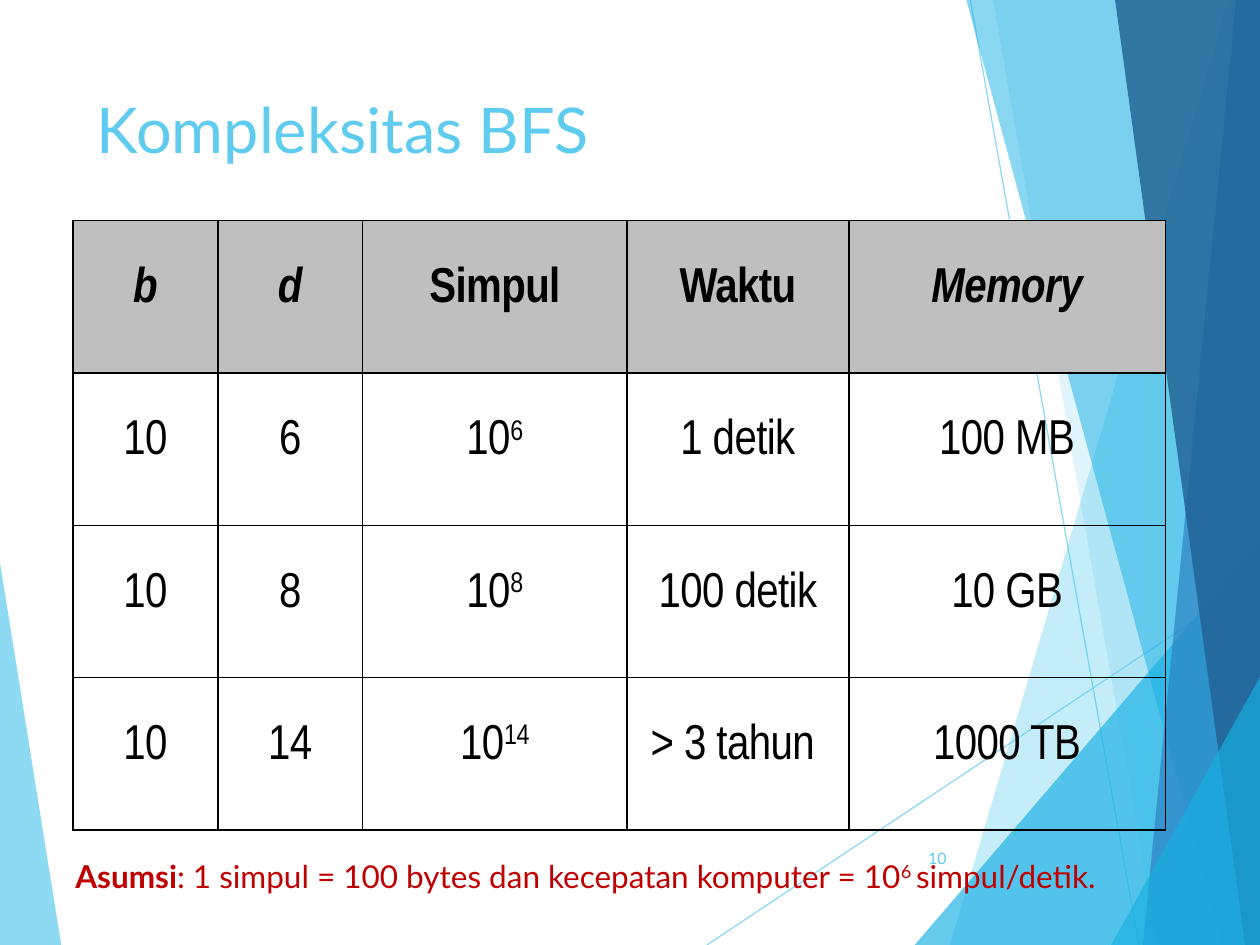
from dataclasses import dataclass

from lxml.etree import SubElement
from pptx import Presentation
from pptx.dml.color import RGBColor
from pptx.enum.shapes import MSO_CONNECTOR
from pptx.enum.text import MSO_ANCHOR, MSO_AUTO_SIZE, PP_ALIGN
from pptx.oxml.ns import qn
from pptx.util import Cm, Pt


@dataclass(frozen=True)
class Theme:
    accent: str = "5FCBEF"
    bright: str = "17B0E4"
    medium: str = "2E83C3"
    dark: str = "226292"
    header: str = "BFBFBF"
    ink: str = "000000"
    warning: str = "C00000"
    font: str = "Lato"
    table_font: str = "Arial Narrow"
    title_size: int = 36
    table_size: int = 28
    note_size: int = 18
    number_size: int = 9


WIDTH, HEIGHT = 25.4, 19.05
RIGHT_EDGE = 25.43

HEADINGS = [("b", True), ("d", True), ("Simpul", False), ("Waktu", False), ("Memory", True)]
# b, d, exponent of the node count, time, memory
ROWS = [
    ("10", "6", "6", "1 detik", "100 MB"),
    ("10", "8", "8", "100 detik", "10 GB"),
    ("10", "14", "14", "> 3 tahun ", "1000 TB"),
]
COLUMN_WIDTHS = [2.92, 2.92, 5.33, 4.47, 6.38]
ROW_HEIGHT = 3.07


def set_solid(fill, color, opacity=100):
    fill.solid()
    fill.fore_color.rgb = RGBColor.from_string(color)
    if opacity < 100:
        for color_element in fill._xPr.iter(qn("a:srgbClr")):
            SubElement(color_element, qn("a:alpha"), val=str(opacity * 1000))


def write(paragraph, text, *, font, size, color, bold=False, italic=False,
          raised=False, spacing=None, align=PP_ALIGN.LEFT):
    """Append one run; spacing is the letter spacing in points."""
    paragraph.alignment = align
    run = paragraph.add_run()
    run.text = text
    run.font.name = font
    run.font.size = Pt(size)
    run.font.bold = bold
    run.font.italic = italic
    run.font.color.rgb = RGBColor.from_string(color)
    properties = run.font._element
    if raised:
        properties.set("baseline", "30000")
    if spacing is not None:
        properties.set("spc", str(round(spacing * 100)))


def add_cell_borders(cell, color, width):
    """Draw all four sides; the line elements must precede the cell's fill."""
    properties = cell._tc.get_or_add_tcPr()
    for index, side in enumerate(("a:lnL", "a:lnR", "a:lnT", "a:lnB")):
        line = SubElement(properties, qn(side), w=str(Pt(width)))
        solid = SubElement(line, qn("a:solidFill"))
        SubElement(solid, qn("a:srgbClr"), val=color)
        properties.insert(index, line)


class SlideBuilder:
    def __init__(self, slide, theme):
        self.slide = slide
        self.theme = theme

    def polygon(self, points, color, opacity):
        start, *others = [(Cm(x), Cm(y)) for x, y in points]
        builder = self.slide.shapes.build_freeform(*start)
        builder.add_line_segments(others, close=True)
        shape = builder.convert_to_shape()
        shape.shadow.inherit = False
        shape.line.fill.background()
        set_solid(shape.fill, color, opacity)

    def band(self, top_x, top_y, bottom_x, color, opacity):
        """Fill from a slanted left side to the right edge of the slide."""
        points = [(top_x, top_y), (bottom_x, HEIGHT), (RIGHT_EDGE, HEIGHT), (RIGHT_EDGE, top_y)]
        self.polygon(points, color, opacity)

    def line(self, start, end):
        ends = [Cm(value) for value in (*start, *end)]
        connector = self.slide.shapes.add_connector(MSO_CONNECTOR.STRAIGHT, *ends)
        connector.line.width = Pt(0.75)
        set_solid(connector.line.fill, self.theme.accent, 70)
        SubElement(connector._element.spPr, qn("a:effectLst"))

    def title(self, text, left, top, width, height):
        title = self.slide.shapes.title
        title.left, title.top, title.width, title.height = map(Cm, (left, top, width, height))
        frame = title.text_frame
        frame.vertical_anchor = MSO_ANCHOR.TOP
        frame.auto_size = MSO_AUTO_SIZE.NONE
        write(frame.paragraphs[0], text, font=self.theme.font,
              size=self.theme.title_size, color=self.theme.accent)

    def text_box(self, left, top, width, height, anchor=MSO_ANCHOR.TOP):
        box = self.slide.shapes.add_textbox(*map(Cm, (left, top, width, height)))
        box.text_frame.word_wrap = True
        box.text_frame.vertical_anchor = anchor
        return box.text_frame

    def cell(self, cell, *runs, fill=None):
        """Format a table cell; each run is a text and its own format."""
        cell.margin_left = cell.margin_right = Cm(0.18)
        cell.margin_top = cell.margin_bottom = 0
        if fill:
            set_solid(cell.fill, fill)
        else:
            cell.fill.background()
        add_cell_borders(cell, self.theme.ink, 1)
        paragraph = cell.text_frame.paragraphs[0]
        paragraph.line_spacing = 2.0
        paragraph.space_before = Pt(3)
        paragraph.space_after = Pt(6)
        for text, run_format in runs:
            write(paragraph, text, font=self.theme.table_font, size=self.theme.table_size,
                  color=self.theme.ink, spacing=-0.3, align=PP_ALIGN.CENTER, **run_format)

    def complexity_table(self, left, top):
        row_count = len(ROWS) + 1
        table = self.slide.shapes.add_table(
            row_count, len(HEADINGS), Cm(left), Cm(top),
            Cm(sum(COLUMN_WIDTHS)), Cm(ROW_HEIGHT * row_count)).table
        table.first_row = table.horz_banding = False
        for column, width in zip(table.columns, COLUMN_WIDTHS):
            column.width = Cm(width)
        for row in table.rows:
            row.height = Cm(ROW_HEIGHT)
        for column, (heading, italic) in enumerate(HEADINGS):
            self.cell(table.cell(0, column), (heading, {"bold": True, "italic": italic}),
                      fill=self.theme.header)
        for row, (branching, depth, exponent, time, memory) in enumerate(ROWS, start=1):
            nodes = [("10", {}), (exponent, {"raised": True})]
            contents = [[(branching, {})], [(depth, {})], nodes, [(time, {})], [(memory, {})]]
            for column, runs in enumerate(contents):
                self.cell(table.cell(row, column), *runs)

    def backdrop(self):
        theme = self.theme
        self.polygon([(-0.03, 11.15), (1.24, 19.08), (-0.03, HEIGHT)], theme.accent, 70)
        self.line((14.25, HEIGHT), (RIGHT_EDGE, 11.61))
        self.line((19.56, 0), (22.96, HEIGHT))
        for band in [
            (24.77, 0, 19.15, theme.accent, 36),
            (20.02, 0, 23.34, theme.accent, 20),
            (RIGHT_EDGE, 10.9, 18.44, theme.bright, 66),
            (19.48, 0, 24.64, theme.bright, 50),
            (24.92, 0, 23.04, theme.medium, 70),
            (22.48, 0, 25.1, theme.dark, 82),
            (RIGHT_EDGE, 13.59, 22.4, theme.bright, 66),
        ]:
            self.band(*band)

    def page_number(self, text):
        frame = self.text_box(17.91, 16.79, 1.42, 1.02, MSO_ANCHOR.MIDDLE)
        write(frame.paragraphs[0], text, font=self.theme.font, size=self.theme.number_size,
              color=self.theme.accent, align=PP_ALIGN.RIGHT)

    def assumption(self):
        frame = self.text_box(1.27, 17.15, 23.06, 1.02)
        frame.auto_size = MSO_AUTO_SIZE.SHAPE_TO_FIT_TEXT
        for text, run_format in [
            ("Asumsi", {"bold": True}),
            (": 1 simpul = 100 bytes dan kecepatan komputer = 10", {}),
            ("6 ", {"raised": True}),
            ("simpul/detik.", {}),
        ]:
            write(frame.paragraphs[0], text, font=self.theme.font, size=self.theme.note_size,
                  color=self.theme.warning, **run_format)


def main():
    presentation = Presentation()
    presentation.slide_width, presentation.slide_height = Cm(WIDTH), Cm(HEIGHT)
    title_only = presentation.slide_layouts[5]
    builder = SlideBuilder(presentation.slides.add_slide(title_only), Theme())
    builder.backdrop()
    builder.complexity_table(1.47, 4.45)
    builder.title("Kompleksitas BFS", 1.7, 1.7, 17.63, 2.11)
    builder.page_number("10")
    builder.assumption()
    presentation.save("out.pptx")


if __name__ == "__main__":
    main()
